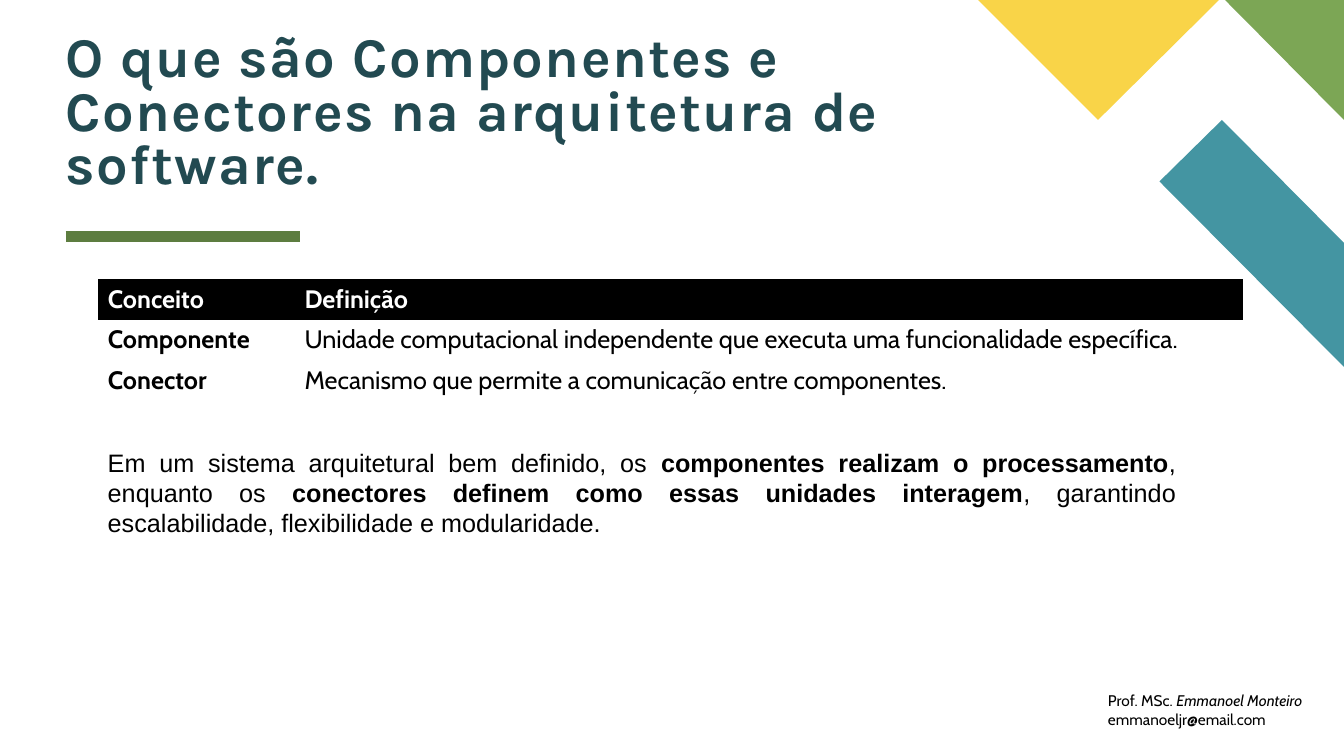
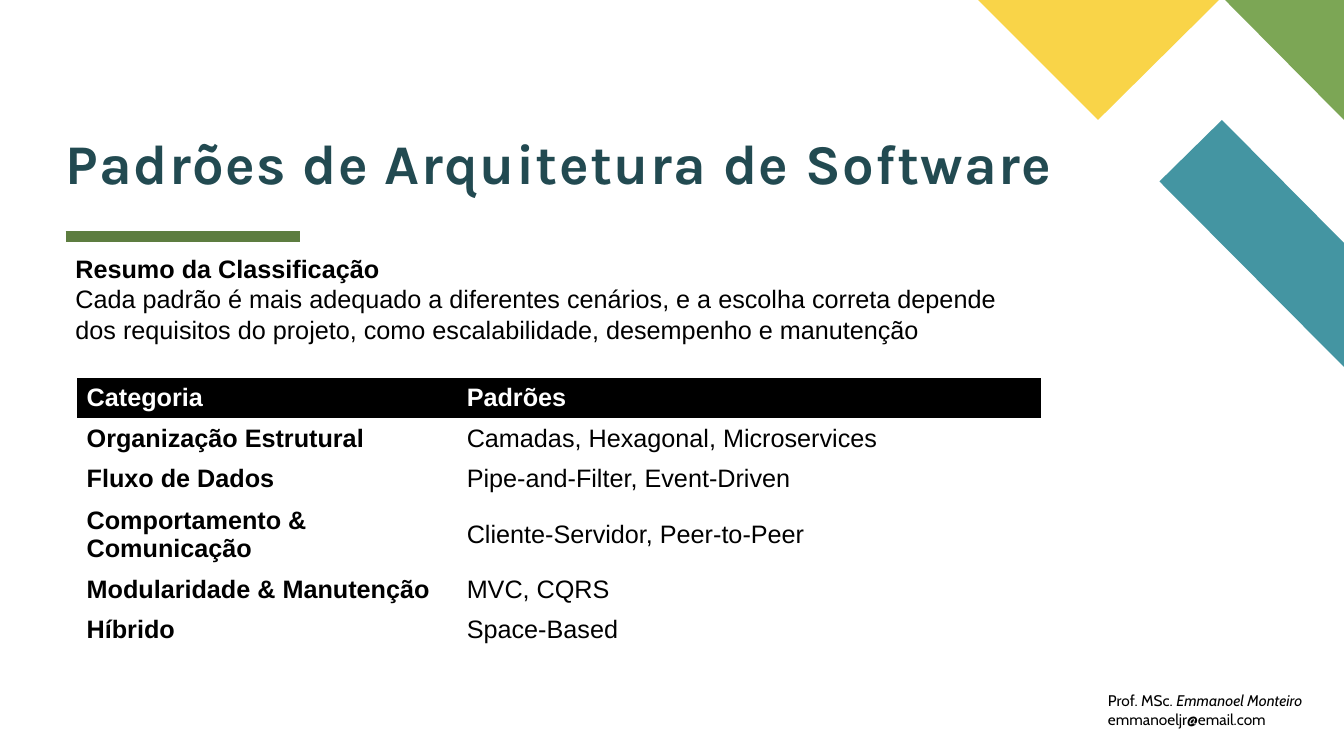
from lxml import etree
from pptx import Presentation
from pptx.dml.color import RGBColor
from pptx.enum.shapes import MSO_CONNECTOR
from pptx.enum.text import MSO_ANCHOR, MSO_AUTO_SIZE, PP_ALIGN
from pptx.oxml.ns import qn
from pptx.util import Inches, Pt

LEFT, JUSTIFY = PP_ALIGN.LEFT, PP_ALIGN.JUSTIFY
TOP, MIDDLE, BOTTOM = MSO_ANCHOR.TOP, MSO_ANCHOR.MIDDLE, MSO_ANCHOR.BOTTOM
STRAIGHT = MSO_CONNECTOR.STRAIGHT
FIT_SHAPE, FIXED = MSO_AUTO_SIZE.SHAPE_TO_FIT_TEXT, MSO_AUTO_SIZE.NONE
PLAIN_TABLE_STYLE = "{2D5ABB26-0587-4C30-8999-92F81FD0307C}"

COLORS = {
    "teal": "4495A2",
    "green": "7CA655",
    "yellow": "F9D448",
    "rule": "5D7D40",
    "title": "224A51",
    "black": "000000",
    "white": "FFFFFF",
}

CORNER_SHAPES = [
    ("teal", [(13.33, 3.64), (13.33, 2.41), (12.12, 1.19), (11.5, 1.8)]),
    ("green", [(13.33, 1.19), (13.33, 0), (12.15, 0)]),
    ("yellow", [(9.7, 0), (10.89, 1.19), (12.09, 0)]),
]

FOOTER = [
    [("Prof. MSc. ", ""), ("Emmanoel Monteiro", "i")],
    [("emmanoeljr@email.com", "")],
]

SLIDES = [
    {
        "title": "O que são Componentes e Conectores na arquitetura de software.",
        "title_width": 9.84,
        "table": {
            "at": (0.97, 2.77),
            "columns": (1.95, 9.41),
            "row_height": 0.4,
            "font": "Cabin",
            "rows": [
                ("Conceito", "Definição"),
                ("Componente", "Unidade computacional independente que executa uma funcionalidade específica."),
                ("Conector", "Mecanismo que permite a comunicação entre componentes."),
            ],
        },
        "body": {
            "at": (0.97, 4.38, 10.79, 1.01),
            "align": JUSTIFY,
            "paragraphs": [[
                ("Em um sistema arquitetural bem definido, os ", ""),
                ("componentes realizam o processamento", "b"),
                (", enquanto os ", ""),
                ("conectores definem como essas unidades interagem", "b"),
                (", garantindo escalabilidade, flexibilidade e modularidade.", ""),
            ]],
        },
    },
    {
        "title": "Padrões de Arquitetura de Software",
        "title_width": 12,
        "table": {
            "at": (0.76, 3.75),
            "columns": (3.77, 5.8),
            "row_height": 0.38,
            "font": "Arial",
            "rows": [
                ("Categoria", "Padrões"),
                ("Organização Estrutural", "Camadas, Hexagonal, Microservices"),
                ("Fluxo de Dados", "Pipe-and-Filter, Event-Driven"),
                ("Comportamento & Comunicação", "Cliente-Servidor, Peer-to-Peer"),
                ("Modularidade & Manutenção", "MVC, CQRS"),
                ("Híbrido", "Space-Based"),
            ],
        },
        "body": {
            "at": (0.65, 2.46, 9.8, 1.01),
            "align": LEFT,
            "paragraphs": [
                [("Resumo da Classificação", "b")],
                [("Cada padrão é mais adequado a diferentes cenários, e a escolha correta depende "
                  "dos requisitos do projeto, como escalabilidade, desempenho e manutenção", "")],
            ],
        },
    },
]


def rgb(name):
    return RGBColor.from_string(COLORS[name])


def write_text(frame, paragraphs, font="Arial", size=18, color="black",
               align=LEFT, line_spacing=None, tracking=None):
    for index, spans in enumerate(paragraphs):
        para = frame.paragraphs[0] if index == 0 else frame.add_paragraph()
        para.alignment = align
        para.line_spacing = line_spacing
        for text, style in spans:
            span = para.add_run()
            span.text = text
            span.font.name = font
            span.font.size = Pt(size)
            span.font.bold = "b" in style
            span.font.italic = "i" in style
            span.font.color.rgb = rgb(color)
            if tracking:
                span.font._element.set("spc", str(tracking))


def add_text(page, at, paragraphs, anchor=TOP, wrap=True, fit=FIT_SHAPE, inset=None, **style):
    box = page.shapes.add_textbox(*map(Inches, at))
    frame = box.text_frame
    frame.word_wrap = wrap
    frame.auto_size = fit
    frame.vertical_anchor = anchor
    if inset is not None:
        frame.margin_left = frame.margin_right = Inches(inset)
        frame.margin_top = frame.margin_bottom = Inches(inset)
    write_text(frame, paragraphs, **style)


def add_decoration(page):
    for color, points in CORNER_SHAPES:
        corners = [(Inches(x), Inches(y)) for x, y in points]
        builder = page.shapes.build_freeform(*corners[0])
        builder.add_line_segments(corners[1:], close=True)
        shape = builder.convert_to_shape()
        shape.shadow.inherit = False
        shape.fill.solid()
        shape.fill.fore_color.rgb = rgb(color)
        shape.line.fill.background()

    rule = page.shapes.add_connector(STRAIGHT, Inches(0.65), Inches(2.35), Inches(2.98), Inches(2.35))
    rule.line.color.rgb = rgb("rule")
    rule.line.width = Pt(8)
    etree.SubElement(rule._element.spPr, qn("a:effectLst"))


def add_concept_table(page, at, columns, row_height, font, rows):
    left, top = at
    graphic = page.shapes.add_table(
        len(rows), len(columns), Inches(left), Inches(top),
        Inches(sum(columns)), Inches(row_height * len(rows)))
    table = graphic.table
    table.horz_banding = False
    table._tbl.tblPr.find(qn("a:tableStyleId")).text = PLAIN_TABLE_STYLE
    for column, width in zip(table.columns, columns):
        column.width = Inches(width)
    for row_index, texts in enumerate(rows):
        table.rows[row_index].height = Inches(row_height)
        header = row_index == 0
        for column_index, text in enumerate(texts):
            cell = table.cell(row_index, column_index)
            cell.vertical_anchor = MIDDLE
            if header:
                cell.fill.solid()
                cell.fill.fore_color.rgb = rgb("black")
            else:
                cell.fill.background()
            style = "b" if header or column_index == 0 else ""
            write_text(cell.text_frame, [[(text, style)]], font=font,
                       color="white" if header else "black")


def build_slide(deck, content):
    page = deck.slides.add_slide(deck.slide_layouts[6])
    add_decoration(page)
    add_text(page, (0.65, 0.22, content["title_width"], 1.72), [[(content["title"], "b")]],
             anchor=BOTTOM, fit=FIXED, inset=0, font="Karla", size=40, color="title",
             line_spacing=0.8, tracking=100)
    add_text(page, (10.89, 6.81, 2.21, 0.47), FOOTER, wrap=False, font="Cabin", size=11)
    add_concept_table(page, **content["table"])
    add_text(page, anchor=MIDDLE, **content["body"])


def main():
    deck = Presentation()
    deck.slide_width, deck.slide_height = Inches(13.33), Inches(7.5)
    for content in SLIDES:
        build_slide(deck, content)
    deck.save("out.pptx")


if __name__ == "__main__":
    main()
